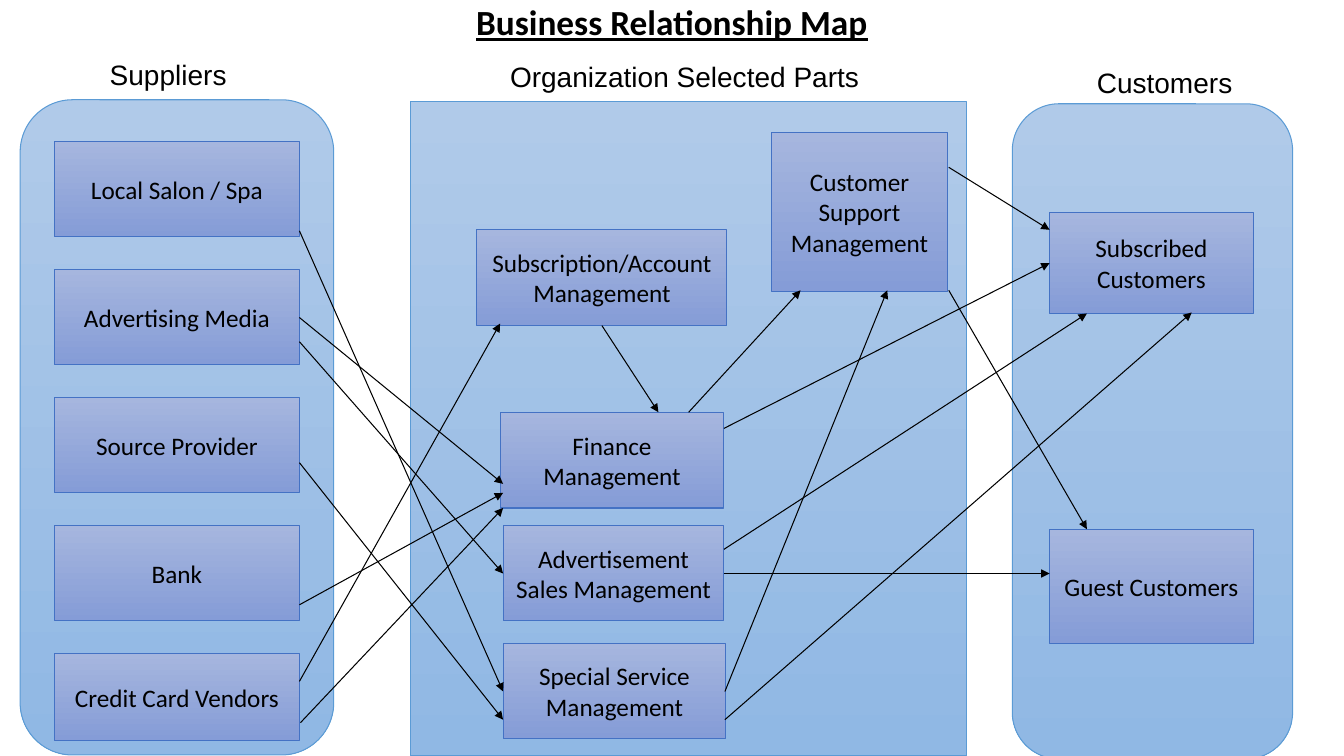
import pptx
import pptx.dml.color
import pptx.enum.shapes
import pptx.enum.text
import pptx.oxml.ns
import pptx.util
from lxml import etree

PX = 9144
SHAPE = pptx.enum.shapes.MSO_SHAPE
ANCHOR = pptx.enum.text.MSO_ANCHOR
ALIGN = pptx.enum.text.PP_ALIGN
COLORS = {
    "text": "000000",
    "panel_top": "B0CAE9",
    "panel_bottom": "90B8E4",
    "panel_line": "5B9BD5",
    "part_top": "A6B6DE",
    "part_bottom": "859CD7",
    "part_line": "4472C4",
}
ARROWS = [
    ("Local Salon / Spa", (243, 89), "Special Service Management", (0, 48)),
    ("Advertising Media", (243, 48), "Finance Management", (3, 71)),
    ("Advertising Media", (243, 72), "Advertisement Sales Management", (0, 48)),
    ("Source Provider", (243, 65), "Special Service Management", (0, 76)),
    ("Bank", (243, 79), "Finance Management", (3, 80)),
    ("Credit Card Vendors", (243, 28), "Subscription/Account Management", (23, 93)),
    ("Credit Card Vendors", (244, 69), "Finance Management", (3, 95)),
    ("Subscription/Account Management", (124, 95), "Finance Management", (157, 0)),
    ("Finance Management", (187, 0), "Customer Support Management", (29, 157)),
    ("Finance Management", (222, 16), "Subscribed Customers", (0, 50)),
    ("Advertisement Sales Management", (219, 24), "Subscribed Customers", (37, 100)),
    ("Advertisement Sales Management", (219, 48), "Guest Customers", (0, 44)),
    ("Special Service Management", (220, 48), "Customer Support Management", (115, 157)),
    ("Special Service Management", (220, 76), "Subscribed Customers", (141, 99)),
    ("Customer Support Management", (176, 35), "Subscribed Customers", (0, 17)),
    ("Customer Support Management", (176, 157), "Guest Customers", (37, 0)),
]


def emu(lengths):
    """Turn px lengths into EMU."""
    return [pptx.util.Emu(length * PX) for length in lengths]


def rgb(name):
    """Look up a named colour."""
    return pptx.dml.color.RGBColor.from_string(COLORS[name])


def write(frame, text, size, font, align, anchor):
    """Fill a text frame with one paragraph and return it."""
    frame.word_wrap = True
    frame.vertical_anchor = anchor
    paragraph = frame.paragraphs[0]
    paragraph.text = text
    paragraph.alignment = align
    paragraph.font.size = pptx.util.Pt(size)
    paragraph.font.name = font
    paragraph.font.color.rgb = rgb("text")
    return paragraph


def add_block(slide, preset, box, role):
    """Add an outlined shape shaded from top to bottom."""
    block = slide.shapes.add_shape(preset, *emu(box))
    block.shadow.inherit = False
    block.fill.gradient()
    block.fill.gradient_angle = 270
    for stop, end in zip(block.fill.gradient_stops, ("top", "bottom")):
        stop.color.rgb = rgb(f"{role}_{end}")
    block.line.color.rgb = rgb(f"{role}_line")
    block.line.width = pptx.util.Pt(0.75)
    return block


def add_title(slide, box):
    """Add the underlined slide title."""
    title = slide.shapes.add_textbox(*emu(box))
    paragraph = write(title.text_frame, "Business Relationship Map", 25.2,
                      "Calibri", ALIGN.CENTER, ANCHOR.BOTTOM)
    paragraph.line_spacing = 0.9
    paragraph.font.bold = True
    paragraph.font.underline = True


def add_region(slide, box, preset, heading, heading_box, parts):
    """Add a headed panel with its parts and return each part's corner."""
    left, top = box[:2]
    add_block(slide, preset, box, "panel")
    dx, dy, width, height = heading_box
    label = slide.shapes.add_textbox(*emu((left + dx, top + dy, width, height)))
    write(label.text_frame, heading, 20, "Arial", ALIGN.LEFT, ANCHOR.TOP)
    corners = {}
    for name, (dx, dy, width, height) in parts.items():
        corners[name] = (left + dx, top + dy)
        part = add_block(slide, SHAPE.RECTANGLE, (*corners[name], width, height), "part")
        write(part.text_frame, name, 18, "Calibri", ALIGN.CENTER, ANCHOR.MIDDLE)
    return corners


def add_suppliers(slide, box):
    """Add the suppliers region."""
    names = ["Local Salon / Spa", "Advertising Media", "Source Provider",
             "Bank", "Credit Card Vendors"]
    parts = {name: (34, 41 + 127 * row, 243, 95) for row, name in enumerate(names)}
    parts["Credit Card Vendors"] = (*parts["Credit Card Vendors"][:3], 87)
    return add_region(slide, box, SHAPE.ROUNDED_RECTANGLE, "Suppliers",
                      (79, -47, 160, 44), parts)


def add_organization(slide, box):
    """Add the organization region."""
    parts = {
        "Subscription/Account Management": (66, 127, 248, 95),
        "Finance Management": (89, 308, 222, 95),
        "Advertisement Sales Management": (92, 420, 219, 95),
        "Special Service Management": (92, 537, 221, 95),
        "Customer Support Management": (358, 30, 175, 158),
    }
    return add_region(slide, box, SHAPE.RECTANGLE, "Organization Selected Parts",
                      (89, -47, 369, 44), parts)


def add_customers(slide, box):
    """Add the customers region."""
    parts = {
        "Subscribed Customers": (37, 108, 202, 100),
        "Guest Customers": (37, 422, 202, 113),
    }
    return add_region(slide, box, SHAPE.ROUNDED_RECTANGLE, "Customers",
                      (74, -43, 156, 44), parts)


def add_arrows(slide, corners):
    """Join the parts with arrows given as offsets from their corners."""
    qn = pptx.oxml.ns.qn
    for source, (dx, dy), target, (end_dx, end_dy) in ARROWS:
        x, y = corners[source]
        end_x, end_y = corners[target]
        arrow = slide.shapes.add_connector(
            pptx.enum.shapes.MSO_CONNECTOR.STRAIGHT,
            *emu((x + dx, y + dy, end_x + end_dx, end_y + end_dy)))
        arrow.line.color.rgb = rgb("text")
        arrow.line.width = pptx.util.Pt(0.75)
        properties = arrow.element.spPr
        etree.SubElement(properties.find(qn("a:ln")), qn("a:tailEnd"), type="triangle")
        etree.SubElement(properties, qn("a:effectLst"))


def main():
    """Build and save the relationship map."""
    deck = pptx.Presentation()
    deck.slide_width, deck.slide_height = emu((1333, 750))
    slide = deck.slides.add_slide(deck.slide_layouts[6])
    add_title(slide, (0, 0, 1333, 48))
    corners = {
        **add_suppliers(slide, (20, 99, 311, 650)),
        **add_organization(slide, (407, 101, 552, 649)),
        **add_customers(slide, (1004, 103, 278, 650)),
    }
    add_arrows(slide, corners)
    deck.save("out.pptx")


if __name__ == "__main__":
    main()
